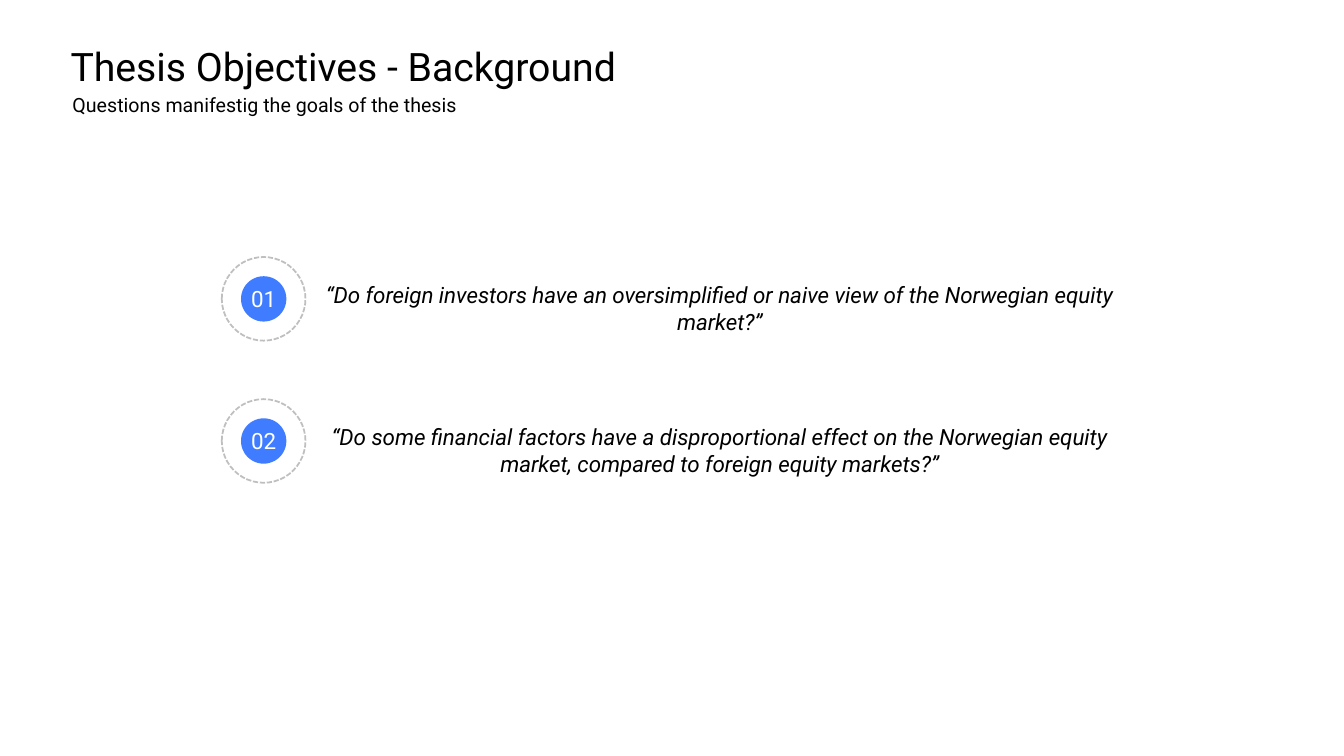
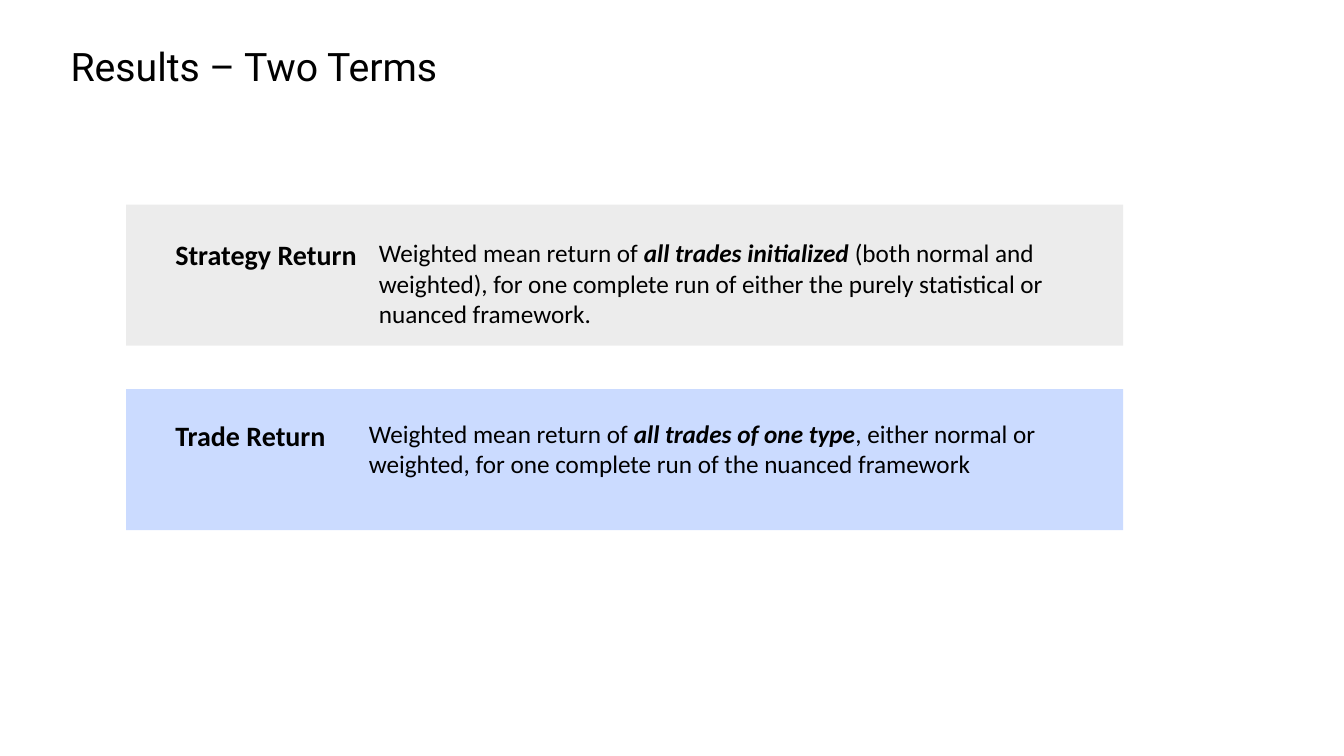
from lxml import etree
from pptx import Presentation
from pptx import util as u
from pptx.dml.color import RGBColor
from pptx.enum import dml, shapes, text
from pptx.oxml.ns import qn

COLOURS = {"ink": "000000", "white": "FFFFFF", "disc": "1760FF",
           "ring": "BFBFBF", "grey": "C3C3C3", "blue": "568BFF"}
FONTS = {
    "title": {"name": "Roboto", "size": u.Pt(28), "bold": False},
    "subtitle": {"name": "Roboto", "size": u.Pt(14)},
    "quote": {"name": "Roboto", "size": u.Pt(16), "italic": True},
    "number": {"name": "Roboto", "size": u.Pt(16)},
    "term": {"name": "Calibri", "size": u.Pt(20), "bold": True},
    "meaning": {"name": "Calibri", "size": u.Pt(18)},
    "stress": {"name": "Calibri", "size": u.Pt(18), "bold": True, "italic": True},
}
FRAME = {"word_wrap": True, "auto_size": text.MSO_AUTO_SIZE.NONE,
         "vertical_anchor": text.MSO_ANCHOR.TOP}
LEFT, CENTRE = text.PP_ALIGN.LEFT, text.PP_ALIGN.CENTER

RING = 0.83
DISC = 0.45
QUESTION_PITCH = 1.41
PANEL_PITCH = 1.83

QUESTIONS = [
    "“Do foreign investors have an oversimplified or naive view of the Norwegian equity market?”",
    "“Do some financial factors have a disproportional effect on the Norwegian equity market, "
    "compared to foreign equity markets?”",
]
TERMS = [
    {"term": "Strategy Return", "colour": "grey", "inset": 0.28,
     "term_width": 2.02, "meaning_width": 7.16,
     "meaning": [("Weighted mean return of ", "meaning"),
                 ("all trades initialized ", "stress"),
                 ("(both normal and weighted), for one complete run of either "
                  "the purely statistical or nuanced framework.", "meaning")]},
    {"term": "Trade Return", "colour": "blue", "inset": 0.24,
     "term_width": 1.92, "meaning_width": 6.96,
     "meaning": [("Weighted mean return of ", "meaning"),
                 ("all trades of one type", "stress"),
                 (", either normal or weighted, for one complete run of "
                  "the nuanced framework", "meaning")]},
]


def rgb(name):
    return RGBColor.from_string(COLOURS[name])


def apply(target, values):
    for name, value in values.items():
        setattr(target, name, value)


def write(box, spans, align=LEFT, colour="ink", **frame):
    """Fill a shape with one paragraph of (wording, font style) spans."""
    apply(box.text_frame, {**FRAME, **frame})
    para = box.text_frame.paragraphs[0]
    para.alignment = align
    for wording, style in spans:
        span = para.add_run()
        span.text = wording
        apply(span.font, FONTS[style])
        span.font.color.rgb = rgb(colour)


def add_text(page, area, spans, align=LEFT, **frame):
    box = page.shapes.add_textbox(*map(u.Inches, area))
    write(box, spans, align, **frame)


def add_plain_shape(page, kind, area, fill=None, opacity=100):
    """Add a shape without outline or shadow, with a see-through fill if asked."""
    shape = page.shapes.add_shape(kind, *map(u.Inches, area))
    shape.shadow.inherit = False
    shape.line.fill.background()
    if fill is None:
        shape.fill.background()
    else:
        shape.fill.solid()
        shape.fill.fore_color.rgb = rgb(fill)
        tint = shape.fill._xPr.find(".//" + qn("a:srgbClr"))
        etree.SubElement(tint, qn("a:alpha"), val=str(opacity * 1000))
    return shape


def add_page(deck, title):
    page = deck.slides.add_slide(deck.slide_layouts[5])
    heading = page.shapes.title
    apply(heading, {"left": u.Inches(0.6), "top": u.Inches(0.37),
                    "width": u.Inches(7.25), "height": u.Inches(0.57)})
    write(heading, [(title, "title")])
    return page


def add_question(page, left, top, number, question):
    """Place a numbered disc in a dashed ring, with its question to the right."""
    oval = shapes.MSO_SHAPE.OVAL
    inset = (RING - DISC) / 2
    disc = add_plain_shape(page, oval, (left + inset, top + inset, DISC, DISC), "disc", 82)
    write(disc, [(f"{number:02}", "number")], CENTRE, "white",
          vertical_anchor=text.MSO_ANCHOR.MIDDLE,
          margin_left=0, margin_right=0, margin_top=0, margin_bottom=0)
    ring = add_plain_shape(page, oval, (left, top, RING, RING))
    ring.line.color.rgb = rgb("ring")
    apply(ring.line, {"width": u.Pt(1.25), "dash_style": dml.MSO_LINE.SQUARE_DOT})
    add_text(page, (left + RING + 0.06, top + inset, 8.1, 0.64),
             [(question, "quote")], CENTRE)


def add_term(page, left, top, entry):
    """Place a tinted panel with a term and, beside it, its meaning."""
    add_plain_shape(page, shapes.MSO_SHAPE.RECTANGLE, (left, top, 9.89, 1.4),
                    entry["colour"], 30)
    text_left, text_top = left + 0.39, top + entry["inset"]
    add_text(page, (text_left, text_top, entry["term_width"], 0.44),
             [(entry["term"], "term")], margin_right=0)
    add_text(page, (text_left + entry["term_width"], text_top,
                    entry["meaning_width"], 1.01), entry["meaning"])


def build_objectives(deck):
    page = add_page(deck, "Thesis Objectives - Background")
    add_text(page, (0.62, 0.87, 6.52, 0.34),
             [("Questions manifestig the goals of the thesis", "subtitle")])
    for row, question in enumerate(QUESTIONS):
        add_question(page, 2.2, 2.55 + row * QUESTION_PITCH, row + 1, question)


def build_terms(deck):
    page = add_page(deck, "Results – Two Terms")
    for row, entry in enumerate(TERMS):
        add_term(page, 1.25, 2.03 + row * PANEL_PITCH, entry)


def main():
    deck = Presentation()
    apply(deck, {"slide_width": u.Inches(13.33), "slide_height": u.Inches(7.5)})
    build_objectives(deck)
    build_terms(deck)
    deck.save("out.pptx")


if __name__ == "__main__":
    main()
